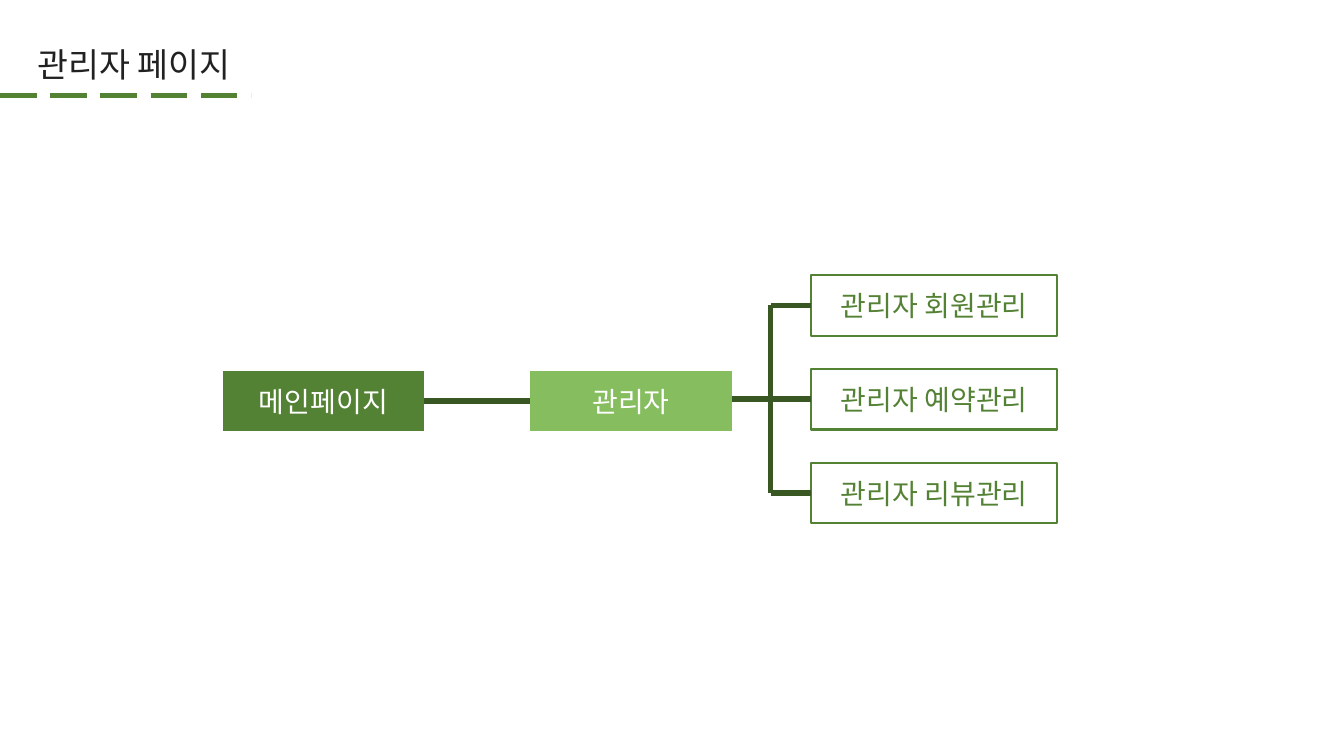
import pptx
import pptx.util
import pptx.dml.color
import pptx.enum.dml
import pptx.enum.shapes
import pptx.enum.text
import pptx.oxml.ns
from lxml import etree

Pt = pptx.util.Pt

# Content
TITLE = "관리자 페이지"
MAIN_PAGE = "메인페이지"
ADMIN = "관리자"
ADMIN_MENUS = ["관리자 회원관리", "관리자 예약관리", "관리자 리뷰관리"]


class Theme:
    font = "Noto Sans CJK KR"
    title_size, box_size = 24, 20
    link_width, rule_width, border_width = 4, 3.25, 1.5
    green, light_green, dark_green = "548235", "85BD5F", "385723"
    white, ink = "FFFFFF", "212121"


# Layout in points
BOX_HEIGHT = 43.2
STAGE_WIDTH, STAGE_TOP = 144, 265
MAIN_LEFT, ADMIN_LEFT = 159.1, 378.7
MENU_LEFT, MENU_TOP, MENU_WIDTH, MENU_STEP = 579.6, 196.6, 175.7, 67
TRUNK_X = 550.4
RULE_Y, RULE_END = 68.4, 179.3


def rgb(value):
    return pptx.dml.color.RGBColor.from_string(value)


def write(shape, text, size, color, alignment):
    frame = shape.text_frame
    frame.word_wrap = True
    frame.vertical_anchor = pptx.enum.text.MSO_ANCHOR.MIDDLE
    paragraph = frame.paragraphs[0]
    paragraph.alignment = alignment
    run = paragraph.add_run()
    run.text = text
    run.font.size = Pt(size)
    run.font.name = Theme.font
    run.font.color.rgb = rgb(color)
    # Korean letters take the East Asian typeface
    east_asian = etree.SubElement(run.font._element, pptx.oxml.ns.qn("a:ea"))
    east_asian.set("typeface", Theme.font)
    return paragraph


def add_box(slide, text, left, top, width, text_color, fill=None, border=None):
    box = slide.shapes.add_shape(
        pptx.enum.shapes.MSO_SHAPE.FLOWCHART_PROCESS,
        Pt(left), Pt(top), Pt(width), Pt(BOX_HEIGHT))
    box.shadow.inherit = False
    if fill:
        box.fill.solid()
        box.fill.fore_color.rgb = rgb(fill)
    else:
        box.fill.background()
    if border:
        box.line.color.rgb = rgb(border)
        box.line.width = Pt(Theme.border_width)
    else:
        box.line.fill.background()
    write(box, text, Theme.box_size, text_color, pptx.enum.text.PP_ALIGN.CENTER)
    return box


def add_line(slide, start, end, color=Theme.dark_green, width=Theme.link_width):
    line = slide.shapes.add_connector(
        pptx.enum.shapes.MSO_CONNECTOR.STRAIGHT,
        Pt(start[0]), Pt(start[1]), Pt(end[0]), Pt(end[1]))
    line.line.color.rgb = rgb(color)
    line.line.width = Pt(width)
    etree.SubElement(line._element.spPr, pptx.oxml.ns.qn("a:effectLst"))
    return line


def main():
    presentation = pptx.Presentation()
    presentation.slide_width, presentation.slide_height = Pt(960), Pt(540)
    slide = presentation.slides.add_slide(presentation.slide_layouts[5])

    # Title and dashed rule
    title = slide.shapes.title
    title.left, title.top, title.width, title.height = Pt(19.4), Pt(27.4), Pt(268.6), Pt(41)
    paragraph = write(title, TITLE, Theme.title_size, Theme.ink, pptx.enum.text.PP_ALIGN.LEFT)
    paragraph.line_spacing = 0.9
    rule = add_line(slide, (0, RULE_Y), (RULE_END, RULE_Y), Theme.green, Theme.rule_width)
    rule.line.dash_style = pptx.enum.dml.MSO_LINE.LONG_DASH

    # Main page and administrator
    main_box = add_box(slide, MAIN_PAGE, MAIN_LEFT, STAGE_TOP, STAGE_WIDTH,
                       Theme.white, fill=Theme.green)
    admin_box = add_box(slide, ADMIN, ADMIN_LEFT, STAGE_TOP, STAGE_WIDTH,
                        Theme.white, fill=Theme.light_green)
    stage_y = STAGE_TOP + BOX_HEIGHT / 2
    link = add_line(slide, (MAIN_LEFT + STAGE_WIDTH, stage_y), (ADMIN_LEFT, stage_y))
    link.begin_connect(main_box, 3)
    link.end_connect(admin_box, 1)

    # Menus with their branches; the middle branch reaches back to the administrator
    middle = len(ADMIN_MENUS) // 2
    branch_ys = []
    for index, menu in enumerate(ADMIN_MENUS):
        top = MENU_TOP + index * MENU_STEP
        menu_box = add_box(slide, menu, MENU_LEFT, top, MENU_WIDTH,
                           Theme.green, border=Theme.green)
        branch_y = top + BOX_HEIGHT / 2
        start_x = ADMIN_LEFT + STAGE_WIDTH if index == middle else TRUNK_X
        branch = add_line(slide, (start_x, branch_y), (MENU_LEFT, branch_y))
        branch.end_connect(menu_box, 1)
        branch_ys.append(branch_y)

    # Trunk
    add_line(slide, (TRUNK_X, branch_ys[0]), (TRUNK_X, branch_ys[-1]))

    presentation.save("out.pptx")


if __name__ == "__main__":
    main()
